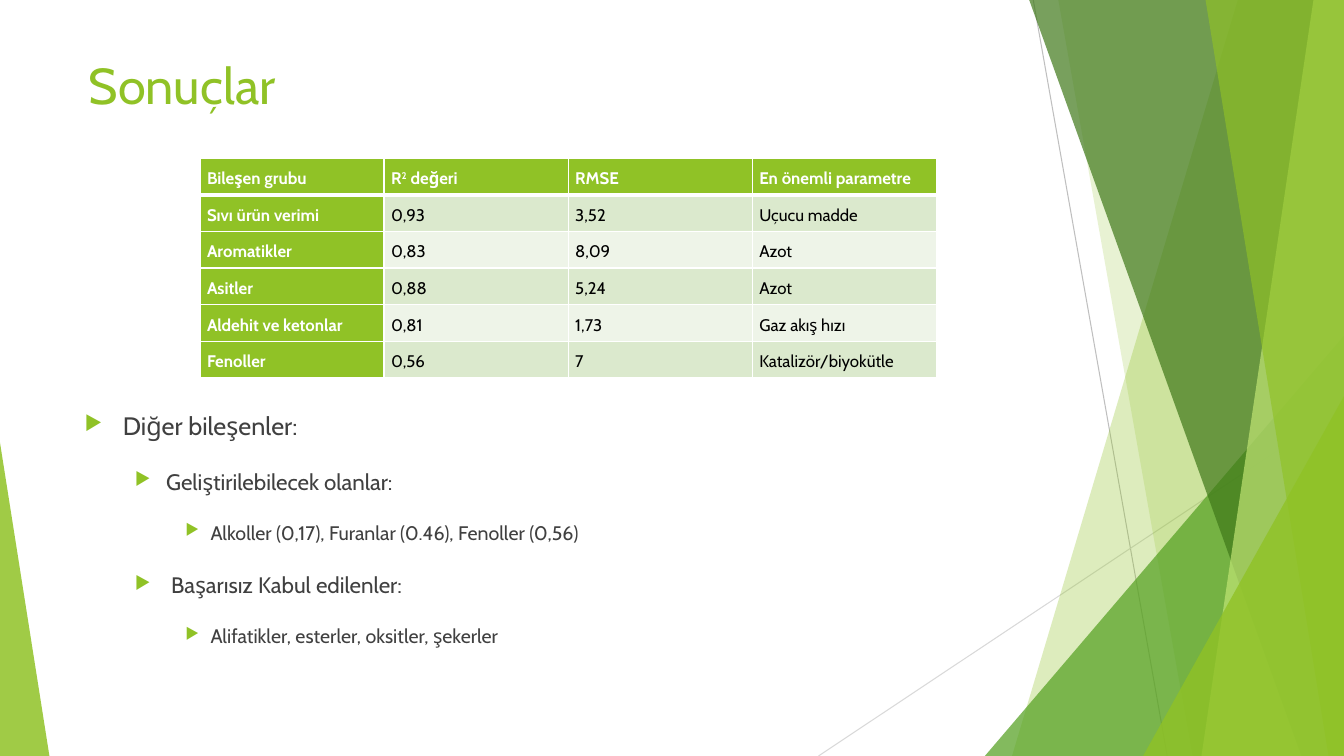
from dataclasses import dataclass

from lxml import etree
from pptx import Presentation
from pptx.dml.color import RGBColor
from pptx.enum.shapes import MSO_CONNECTOR, MSO_SHAPE
from pptx.enum.text import MSO_ANCHOR, MSO_AUTO_SIZE, PP_ALIGN
from pptx.oxml.ns import qn
from pptx.util import Emu, Inches, Pt

STRAIGHT = MSO_CONNECTOR.STRAIGHT
TRIANGLE = MSO_SHAPE.ISOSCELES_TRIANGLE
TOP = MSO_ANCHOR.TOP
NO_FIT = MSO_AUTO_SIZE.NONE
LEFT = PP_ALIGN.LEFT

SLIDE_WIDTH, SLIDE_HEIGHT = Inches(13.333), Inches(7.5)
FONT = "Cabin"
COLOURS = {
    "lime": "90C226",
    "green": "54A021",
    "forest": "3F7819",
    "pale lime": "C0E474",
    "grey": "BFBFBF",
    "light grey": "D9D9D9",
    "white": "FFFFFF",
    "black": "000000",
    "text": "404040",
    "odd row": "DBE9CD",
    "even row": "EEF4E8",
}


@dataclass(frozen=True)
class Ray:
    start: tuple[float, float]
    end: tuple[float, float]
    colour: str


@dataclass(frozen=True)
class Band:
    top_left: float
    bottom_left: float
    colour: str
    opacity: int


@dataclass(frozen=True)
class Wedge:
    left: float
    top: float
    width: float
    apex: float
    colour: str
    opacity: int


@dataclass(frozen=True)
class Level:
    margin: float
    hanging: float
    size: int


@dataclass(frozen=True)
class Finding:
    level: int
    text: str


RAYS = [
    Ray((76.88, 0), (86.85, 100), "grey"),
    Ray((100, 53.73), (60.9, 100), "light grey"),
]
FACETS = [
    Band(92.1, 75.3, "lime", 30),
    Band(78.75, 88.73, "lime", 20),
    Wedge(73.28, 44.4, 26.72, 1, "green", 72),
    Band(76.58, 96.83, "forest", 70),
    Band(97.73, 89.4, "pale lime", 70),
    Band(89.7, 98.85, "lime", 65),
    Wedge(85.05, 52.4, 14.95, 1, "lime", 80),
    Wedge(0, 58.53, 3.68, 0, "lime", 85),
]
RESULTS = [
    ["Bileşen grubu", "R² değeri", "RMSE", "En önemli parametre"],
    ["Sıvı ürün verimi", "0,93", "3,52", "Uçucu madde"],
    ["Aromatikler", "0,83", "8,09", "Azot"],
    ["Asitler", "0,88", "5,24", "Azot"],
    ["Aldehit ve ketonlar", "0,81", "1,73", "Gaz akış hızı"],
    ["Fenoller", "0,56", "7", "Katalizör/biyokütle"],
]
LEVELS = [Level(0.38, 0.38, 18), Level(0.81, 0.31, 16), Level(1.25, 0.25, 14)]
FINDINGS = [
    Finding(0, "Diğer bileşenler:"),
    Finding(1, "Geliştirilebilecek olanlar:"),
    Finding(2, "Alkoller (0,17), Furanlar (0.46), Fenoller (0,56)"),
    Finding(1, " Başarısız Kabul edilenler:"),
    Finding(2, "Alifatikler, esterler, oksitler, şekerler"),
]


def across(percent: float) -> Emu:
    return Emu(round(SLIDE_WIDTH * percent / 100))


def down(percent: float) -> Emu:
    return Emu(round(SLIDE_HEIGHT * percent / 100))


def rgb(colour: str) -> RGBColor:
    return RGBColor.from_string(COLOURS[colour])


def add_child(parent, tag: str, **attributes: str):
    return etree.SubElement(parent, qn(tag), attributes)


def set_font(paragraph, size: int, colour: str, bold: bool = False) -> None:
    font = paragraph.font
    font.name, font.size, font.bold = FONT, Pt(size), bold
    font.color.rgb = rgb(colour)


def draw_ray(slide, ray: Ray) -> None:
    (x1, y1), (x2, y2) = ray.start, ray.end
    line = slide.shapes.add_connector(
        STRAIGHT, across(x1), down(y1), across(x2), down(y2))
    line.line.color.rgb = rgb(ray.colour)
    line.line.width = Pt(0.75)
    add_child(line._element.spPr, "a:effectLst")


def draw_facet(slide, facet: Band | Wedge) -> None:
    if isinstance(facet, Band):
        outline = slide.shapes.build_freeform(across(facet.top_left), 0)
        outline.add_line_segments([
            (across(100), 0),
            (across(100), down(100)),
            (across(facet.bottom_left), down(100)),
        ])
        shape = outline.convert_to_shape()
    else:
        shape = slide.shapes.add_shape(
            TRIANGLE, across(facet.left), down(facet.top),
            across(facet.width), down(100 - facet.top))
        shape.adjustments[0] = facet.apex
    shape.shadow.inherit = False
    shape.line.fill.background()
    shape.fill.solid()
    shape.fill.fore_color.rgb = rgb(facet.colour)
    tint = shape._element.spPr.find(".//" + qn("a:srgbClr"))
    add_child(tint, "a:alpha", val=str(facet.opacity * 1000))


def draw_title(slide, text: str) -> None:
    title = slide.shapes.title
    title.left, title.top = across(5.85), down(6.53)
    title.width, title.height = across(79.5), down(12.67)
    frame = title.text_frame
    frame.text = text
    frame.vertical_anchor = TOP
    frame.auto_size = NO_FIT
    frame.paragraphs[0].alignment = LEFT
    set_font(frame.paragraphs[0], 36, "lime")


def set_borders(cell, row: int) -> None:
    thick = {0: "a:lnB", 1: "a:lnT"}.get(row)
    properties = cell._tc.get_or_add_tcPr()
    for side in ("a:lnL", "a:lnR", "a:lnT", "a:lnB"):
        width = Pt(3 if side == thick else 1)
        border = add_child(properties, side, w=str(width))
        add_child(add_child(border, "a:solidFill"), "a:srgbClr", val=COLOURS["white"])


def fill_cell(cell, text: str, row: int, column: int) -> None:
    heading = row == 0 or column == 0
    set_borders(cell, row)
    cell.fill.solid()
    cell.fill.fore_color.rgb = rgb(
        "lime" if heading else "odd row" if row % 2 else "even row")
    cell.margin_left = cell.margin_right = Inches(0.07)
    cell.margin_top = cell.margin_bottom = 0
    paragraph = cell.text_frame.paragraphs[0]
    base, power, rest = text.partition("²")
    paragraph.add_run().text = base
    if power:
        exponent = paragraph.add_run()
        exponent.text = "2"
        exponent._r.get_or_add_rPr().set("baseline", "30000")
        paragraph.add_run().text = rest
    paragraph.line_spacing = 1.5
    paragraph.space_after = Pt(12)
    set_font(paragraph, 12, "white" if heading else "black", heading)


def draw_results(slide) -> None:
    table = slide.shapes.add_table(
        len(RESULTS), len(RESULTS[0]),
        across(14.88), down(20.93), across(54.8), down(29.07)).table
    table.first_col = True
    for row, texts in enumerate(RESULTS):
        for column, text in enumerate(texts):
            fill_cell(table.cell(row, column), text, row, column)


def draw_findings(slide) -> None:
    frame = slide.shapes.add_textbox(
        across(5.55), down(51.6), across(70.5), down(46.8)).text_frame
    frame.word_wrap = True
    for index, finding in enumerate(FINDINGS):
        paragraph = frame.add_paragraph() if index else frame.paragraphs[0]
        level = LEVELS[finding.level]
        paragraph.text = finding.text
        paragraph.level = finding.level
        properties = paragraph._p.get_or_add_pPr()
        properties.set("marL", str(Inches(level.margin)))
        properties.set("indent", str(-Inches(level.hanging)))
        add_child(add_child(properties, "a:buClr"), "a:srgbClr", val=COLOURS["lime"])
        add_child(properties, "a:buSzPct", val="80000")
        add_child(properties, "a:buChar", char="▶")
        paragraph.line_spacing = 1.5
        paragraph.space_before = Pt(10)
        set_font(paragraph, level.size, "text")


def main() -> None:
    deck = Presentation()
    deck.slide_width, deck.slide_height = SLIDE_WIDTH, SLIDE_HEIGHT
    slide = deck.slides.add_slide(deck.slide_layouts[5])
    for ray in RAYS:
        draw_ray(slide, ray)
    for facet in FACETS:
        draw_facet(slide, facet)
    draw_title(slide, "Sonuçlar")
    draw_results(slide)
    draw_findings(slide)
    deck.save("out.pptx")


if __name__ == "__main__":
    main()
